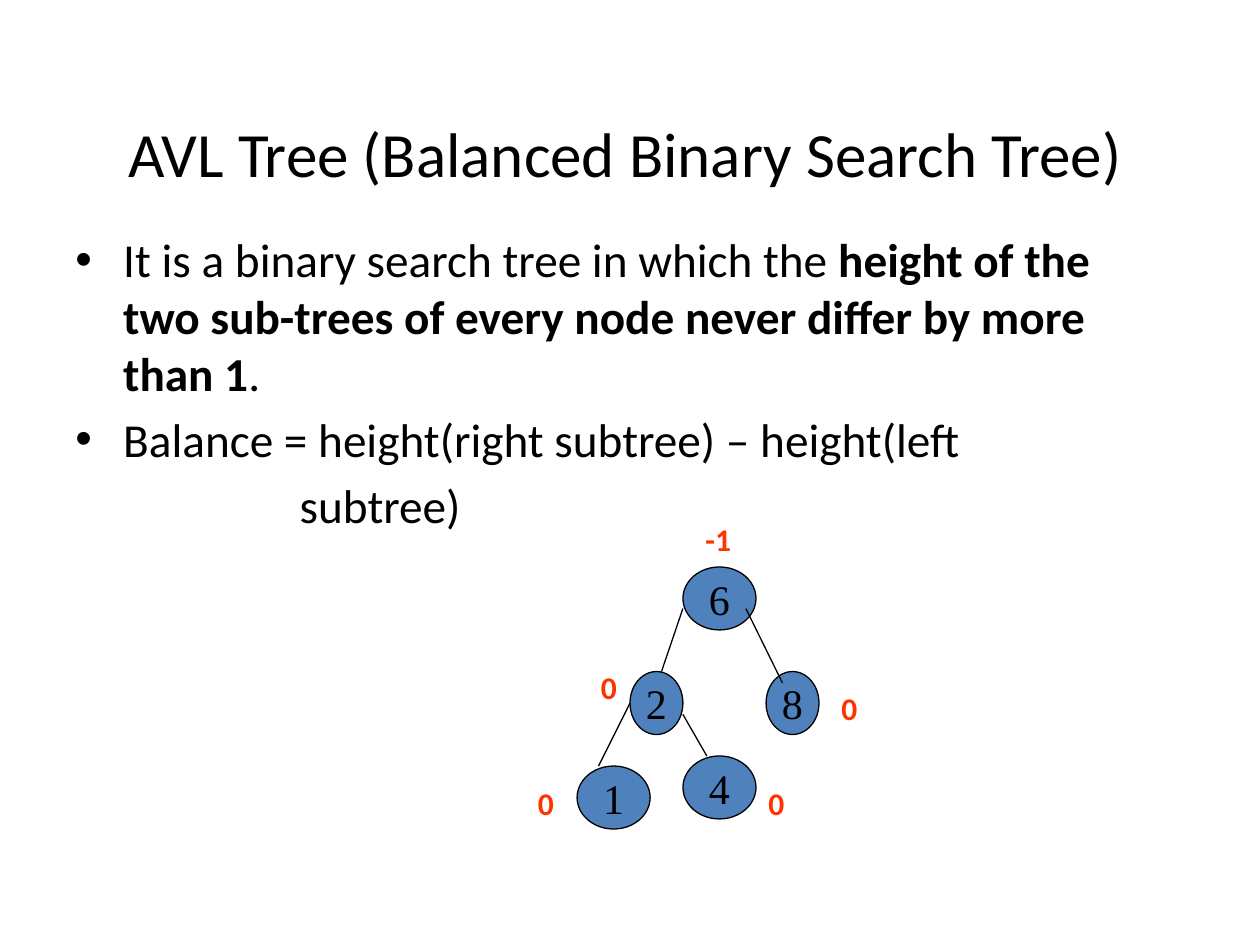
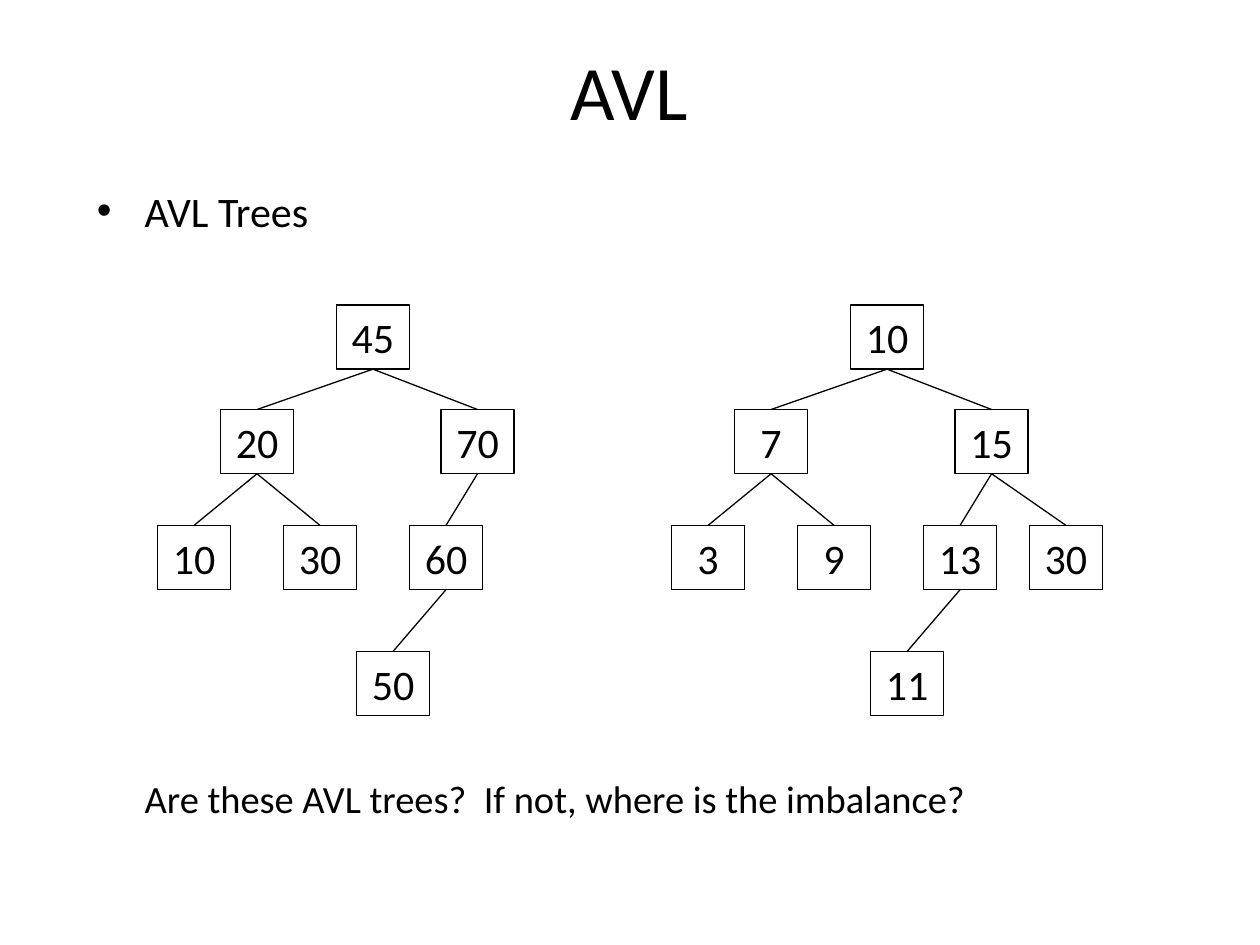
from lxml import etree
from pptx import Presentation, util as u
from pptx.dml.color import RGBColor
from pptx.enum import shapes, text
from pptx.oxml.ns import qn

COLOURS = {"ink": "000000", "node": "4F81BD", "balance": "FF3300"}
BODY_FONT = "Calibri"
NODE_FONT = "Times New Roman"
LINE_WIDTH = 0.75
HANGING = 0.38
BOX_WIDTH, BOX_HEIGHT = 0.58, 0.51
SECOND_TREE_SHIFT = 4.08

# Balance tree: key -> (left, top, width)
BALANCE_NODES = {
    "6": (5.42, 4.5, 0.58),
    "2": (5, 5.33, 0.42),
    "8": (6.08, 5.33, 0.42),
    "1": (4.58, 6.08, 0.58),
    "4": (5.42, 6, 0.58),
}
BALANCE_EDGES = [
    ((5.42, 4.83), (5.25, 5.33)),
    ((5.92, 4.83), (6.21, 5.42)),
    ((5, 5.58), (4.75, 6.08)),
    ((5.42, 5.67), (5.61, 6)),
]
# Balance labels: (text, left, top, width)
BALANCES = [
    ("-1", 5.5, 4.08, 0.58),
    ("0", 4.67, 5.25, 0.42),
    ("0", 6.58, 5.42, 0.42),
    ("0", 4.17, 6.17, 0.42),
    ("0", 6, 6.17, 0.42),
]

# Places in the quiz trees: name -> (left, top)
PLACES = {
    "root": (2.67, 2.42),
    "left": (1.75, 3.25),
    "right": (3.5, 3.25),
    "left-left": (1.25, 4.17),
    "left-right": (2.25, 4.17),
    "right-left": (3.25, 4.17),
    "right-right": (4.09, 4.17),
    "deepest": (2.83, 5.17),
}
PARENTS = {
    "left": "root",
    "right": "root",
    "left-left": "left",
    "left-right": "left",
    "right-left": "right",
    "right-right": "right",
    "deepest": "right-left",
}
FIRST_TREE = {"root": "45", "left": "20", "right": "70", "left-left": "10",
              "left-right": "30", "right-left": "60", "deepest": "50"}
SECOND_TREE = {"root": "10", "left": "7", "right": "15", "left-left": "3",
               "left-right": "9", "right-left": "13", "right-right": "30",
               "deepest": "11"}


class Deck:
    """Holds the presentation, its style and the slide being filled."""

    def __init__(self):
        self.file = Presentation()
        self.file.slide_width = u.Inches(10)
        self.file.slide_height = u.Inches(7.5)
        self.slide = None
        self.target = None

    def new_slide(self):
        self.slide = self.file.slides.add_slide(self.file.slide_layouts[6])
        self.target = self.slide.shapes

    def start_group(self):
        """Send the shapes that follow into a new group."""
        self.target = self.slide.shapes.add_group_shape().shapes

    def end_group(self):
        self.target = self.slide.shapes

    def colour(self, name):
        return RGBColor.from_string(COLOURS[name])

    def span(self, para, words, size, font=BODY_FONT, colour="ink", bold=False):
        span = para.add_run()
        span.text = words
        span.font.name = font
        span.font.size = u.Pt(size)
        span.font.bold = bold
        span.font.color.rgb = self.colour(colour)

    def text_box(self, left, top, width, height):
        box = self.target.add_textbox(*map(u.Inches, (left, top, width, height)))
        box.text_frame.word_wrap = True
        return box.text_frame

    def title(self, words, left, top, width, height, size):
        frame = self.text_box(left, top, width, height)
        frame.vertical_anchor = text.MSO_ANCHOR.MIDDLE
        frame.paragraphs[0].alignment = text.PP_ALIGN.CENTER
        self.span(frame.paragraphs[0], words, size)

    def paragraph(self, frame, spans, size, margin=HANGING, bullet=True):
        """Add a paragraph of (words, bold) spans, bulleted or just indented."""
        para = frame.paragraphs[0]
        if para.runs:
            para = frame.add_paragraph()
            para.space_before = u.Pt(size * 0.2)
        settings = para._p.get_or_add_pPr()
        settings.set("marL", str(u.Inches(margin)))
        if bullet:
            settings.set("indent", str(-u.Inches(margin)))
            etree.SubElement(settings, qn("a:buFont"), typeface="Arial")
            etree.SubElement(settings, qn("a:buChar"), char="•")
        for words, bold in spans:
            self.span(para, words, size, bold=bold)

    def label(self, words, left, top, width):
        frame = self.text_box(left, top, width, 0.4)
        self.span(frame.paragraphs[0], words, 18, colour="balance", bold=True)

    def node(self, kind, key, left, top, width, height, fill=None, font=BODY_FONT):
        node = self.target.add_shape(kind, *map(u.Inches, (left, top, width, height)))
        node.shadow.inherit = False
        if fill:
            node.fill.solid()
            node.fill.fore_color.rgb = self.colour(fill)
        else:
            node.fill.background()
        self.outline(node)
        frame = node.text_frame
        frame.word_wrap = False
        frame.vertical_anchor = text.MSO_ANCHOR.MIDDLE
        frame.paragraphs[0].alignment = text.PP_ALIGN.CENTER
        self.span(frame.paragraphs[0], key, 24, font)
        return node

    def outline(self, item):
        item.line.color.rgb = self.colour("ink")
        item.line.width = u.Pt(LINE_WIDTH)

    def edge(self, start=(0, 0), end=(0, 0)):
        edge = self.target.add_connector(
            shapes.MSO_CONNECTOR.STRAIGHT, *map(u.Inches, (*start, *end)))
        self.outline(edge)
        etree.SubElement(edge._element.spPr, qn("a:effectLst"))
        return edge

    def box_tree(self, keys, shift=0):
        """Draw boxes at their places and join each to its parent."""
        self.start_group()
        boxes = {}
        for place, key in keys.items():
            left, top = PLACES[place]
            boxes[place] = self.node(shapes.MSO_SHAPE.RECTANGLE, key,
                                     left + shift, top, BOX_WIDTH, BOX_HEIGHT)
        for child, parent in PARENTS.items():
            if child in boxes:
                left, top = PLACES[child]
                edge = self.edge((left + shift, top), (left + shift, top))
                edge.begin_connect(boxes[parent], 2)
                edge.end_connect(boxes[child], 0)
        self.end_group()


def balance_slide(deck):
    deck.new_slide()
    deck.title("AVL Tree (Balanced Binary Search Tree)", 0.5, 0.58, 8.92, 1.25, 36)
    frame = deck.text_box(0.5, 1.78, 8.5, 2.6)
    deck.paragraph(frame, [
        ("It is a binary search tree in which the ", False),
        ("height of the two sub-trees of every node never differ by more than 1", True),
        (".", False),
    ], 27)
    deck.paragraph(frame, [("Balance = height(right subtree) – height(left", False)], 27)
    deck.paragraph(frame, [("subtree)", False)], 27, margin=1.78, bullet=False)

    deck.start_group()
    for key, (left, top, width) in BALANCE_NODES.items():
        deck.node(shapes.MSO_SHAPE.OVAL, key, left, top, width, 0.5, "node", NODE_FONT)
    for start, end in BALANCE_EDGES:
        deck.edge(start, end)
    deck.end_group()
    for balance in BALANCES:
        deck.label(*balance)


def quiz_slide(deck):
    deck.new_slide()
    deck.title("AVL", 0.9, 0.3, 8.19, 0.83, 44)
    heading = deck.text_box(0.67, 1.42, 8.5, 0.51)
    deck.paragraph(heading, [("AVL Trees", False)], 24)
    deck.box_tree(FIRST_TREE)
    deck.box_tree(SECOND_TREE, SECOND_TREE_SHIFT)
    question = deck.text_box(0.67, 6.1, 8.5, 0.5)
    deck.paragraph(question, [
        ("Are these AVL trees?  If not, where is the imbalance?", False),
    ], 22, bullet=False)


def main():
    deck = Deck()
    balance_slide(deck)
    quiz_slide(deck)
    deck.file.save("out.pptx")


if __name__ == "__main__":
    main()
